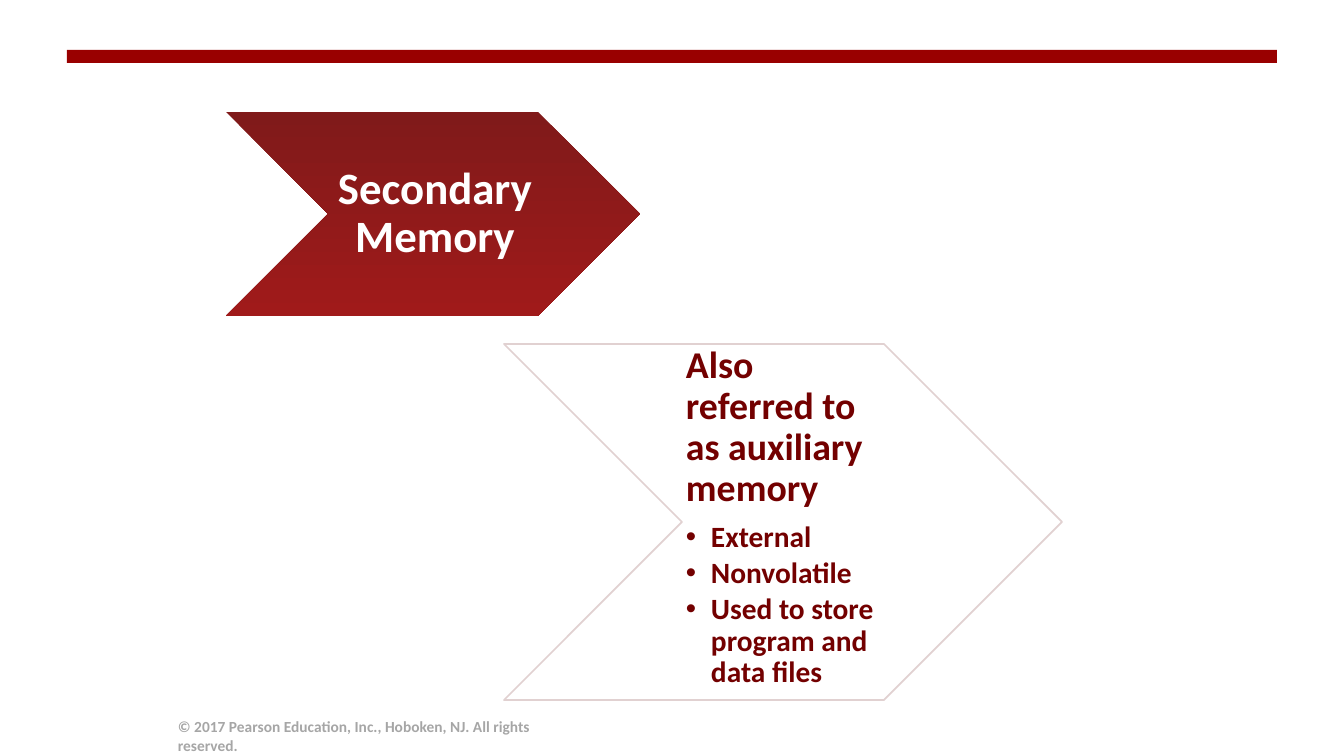
from pptx import Presentation
from pptx.dml.color import RGBColor
from pptx.enum.shapes import MSO_SHAPE
from pptx.enum.text import MSO_ANCHOR, MSO_AUTO_SIZE, PP_ALIGN
from pptx.oxml.xmlchemy import OxmlElement
from pptx.util import Emu, Pt

FONT = "Calibri"
DARK_RED = "730000"


def px(length):
    return Emu(round(length * 914400 / 100.8))


def color(value):
    return RGBColor.from_string(value)


def add_block(slide, preset, left, top, width, height, fill):
    block = slide.shapes.add_shape(preset, px(left), px(top), px(width), px(height))
    block.shadow.inherit = False
    block.line.fill.background()
    block.fill.solid()
    block.fill.fore_color.rgb = color(fill)
    return block


def shade_down(block, top_color, bottom_color):
    block.fill.gradient()
    block.fill.gradient_angle = 270
    for stop, value in zip(block.fill.gradient_stops, (top_color, bottom_color)):
        stop.color.rgb = color(value)


def place(holder, left, top, width, height, anchor):
    holder.left, holder.top = px(left), px(top)
    holder.width, holder.height = px(width), px(height)
    holder.element.getparent().append(holder.element)
    frame = holder.text_frame
    frame.word_wrap = True
    frame.auto_size = MSO_AUTO_SIZE.NONE
    frame.vertical_anchor = anchor
    frame.margin_left, frame.margin_right = px(4), 0
    frame.margin_top = frame.margin_bottom = px(2)
    return frame


def set_bullet(paragraph, symbol=None, indent=0):
    properties = paragraph._p.get_or_add_pPr()
    properties.set("marL", str(px(indent)))
    properties.set("indent", str(-px(indent)))
    bullet = OxmlElement("a:buChar" if symbol else "a:buNone")
    if symbol:
        bullet.set("char", symbol)
    properties.append(bullet)


def write(paragraph, text, size, ink, line_spacing=0.9, after=0):
    paragraph.text = text
    paragraph.line_spacing = line_spacing
    paragraph.space_before = Pt(0)
    paragraph.space_after = Pt(after)
    paragraph.font.name = FONT
    paragraph.font.size = Pt(size)
    paragraph.font.bold = True
    paragraph.font.color.rgb = color(ink)


def add_topic(slide):
    arrow = add_block(slide, MSO_SHAPE.CHEVRON, 226, 112, 414, 204, "801A1A")
    shade_down(arrow, "801A1A", "A01A1A")
    frame = place(slide.shapes.title, 328, 112, 210, 204, MSO_ANCHOR.MIDDLE)
    heading = frame.paragraphs[0]
    write(heading, "Secondary Memory", 32, "FFFFFF")
    heading.alignment = PP_ALIGN.CENTER


def add_details(slide, lead, features):
    arrow = add_block(slide, MSO_SHAPE.CHEVRON, 504, 344, 558, 356, "FFFFFF")
    arrow.line.color.rgb = color("E1D1D1")
    arrow.line.width = Pt(1.25)
    frame = place(slide.placeholders[1], 682, 344, 202, 356, MSO_ANCHOR.TOP)
    opening = frame.paragraphs[0]
    set_bullet(opening)
    write(opening, lead, 27, DARK_RED, after=9)
    for feature in features:
        item = frame.add_paragraph()
        item.level = 1
        set_bullet(item, "•", 25)
        write(item, feature, 21, DARK_RED, after=3)


def add_copyright(slide, notice):
    frame = slide.shapes.add_textbox(px(168), px(716), px(377), px(40)).text_frame
    frame.word_wrap = True
    frame.vertical_anchor = MSO_ANCHOR.MIDDLE
    write(frame.paragraphs[0], notice, 11, "A6A6A6", line_spacing=1.0)


def main():
    deck = Presentation()
    deck.slide_width, deck.slide_height = px(1344), px(756)
    slide = deck.slides.add_slide(deck.slide_layouts[1])
    add_block(slide, MSO_SHAPE.RECTANGLE, 67, 50, 1210, 13, "990000")
    add_topic(slide)
    add_details(
        slide,
        "Also referred to as auxiliary memory",
        ["External", "Nonvolatile", "Used to store program and data files"],
    )
    add_copyright(
        slide, "© 2017 Pearson Education, Inc., Hoboken, NJ. All rights reserved."
    )
    deck.save("out.pptx")


if __name__ == "__main__":
    main()
